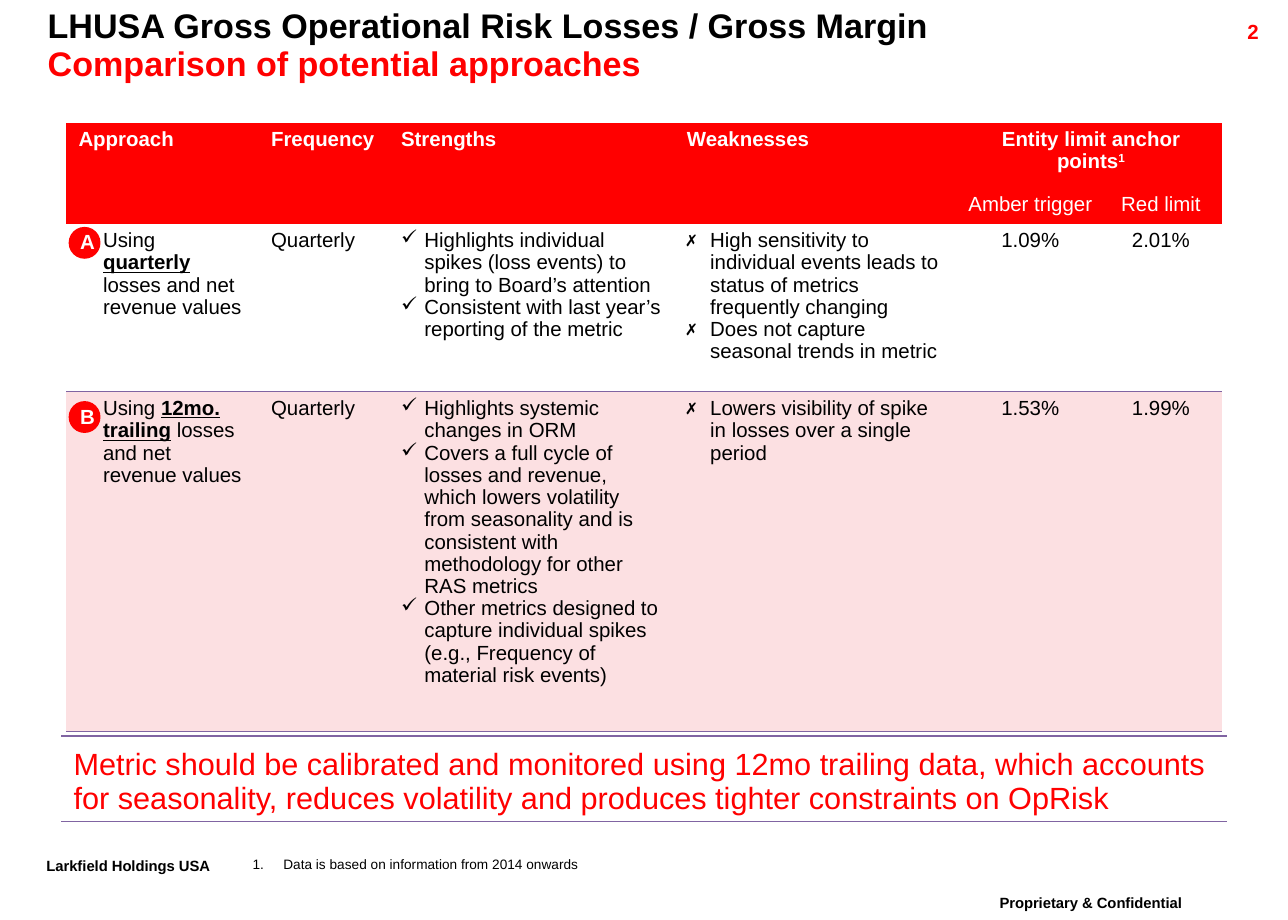
from lxml import etree
from pptx import Presentation
from pptx.dml.color import RGBColor
from pptx.enum.shapes import MSO_SHAPE
from pptx.enum.text import MSO_ANCHOR, PP_ALIGN
from pptx.oxml.ns import qn
from pptx.util import Inches, Pt

RED = RGBColor(0xFF, 0x00, 0x00)
BLACK = RGBColor(0x00, 0x00, 0x00)
WHITE = RGBColor(0xFF, 0xFF, 0xFF)
PINK = RGBColor(0xFC, 0xE0, 0xE2)
RULE = RGBColor(0x80, 0x64, 0xA2)
LEFT, CENTER, RIGHT = PP_ALIGN.LEFT, PP_ALIGN.CENTER, PP_ALIGN.RIGHT
TOP, MIDDLE, BOTTOM = MSO_ANCHOR.TOP, MSO_ANCHOR.MIDDLE, MSO_ANCHOR.BOTTOM
OVAL = MSO_SHAPE.OVAL
FONT = "Arial"
PLAIN_TABLE = "{2D5ABB26-0587-4C30-8999-92F81FD0307C}"
TITLE_SPACING, TABLE_SPACING = 0.92, 0.97
HANG = 0.19

# Table content: *stars* mark emphasis
COLUMNS = [1.57, 1.06, 2.33, 2.33, 1.14, 0.99]
ROWS = [0.53, 0.28, 1.37, 2.77]
HEADINGS = ["Approach", "Frequency", "Strengths", "Weaknesses"]
APPROACHES = [
    ("A", None, "Using *quarterly* losses and net revenue values", "Quarterly",
     ["Highlights individual spikes (loss events) to bring to Board’s attention",
      "Consistent with last year’s reporting of the metric"],
     ["High sensitivity to individual events leads to status of metrics "
      "frequently changing",
      "Does not capture seasonal trends in metric"],
     ["1.09%", "2.01%"]),
    ("B", PINK, "Using *12mo. trailing* losses and net revenue values", "Quarterly",
     ["Highlights systemic changes in ORM",
      "Covers a full cycle of losses and revenue, which lowers volatility from "
      "seasonality and is consistent with methodology for other RAS metrics",
      "Other metrics designed to capture individual spikes (e.g., Frequency of "
      "material risk events)"],
     ["Lowers visibility of spike in losses over a single period"],
     ["1.53%", "1.99%"]),
]


def raise_span(span):
    span.font._element.set("baseline", "30000")


def add_bullet(para, tag, key, value, indent):
    props = para._p.get_or_add_pPr()
    props.set("marL", str(Inches(indent)))
    props.set("indent", str(-Inches(indent)))
    etree.SubElement(props, qn(tag)).set(key, value)


def style(para, size, color, bold=False, align=LEFT, spacing=None):
    para.alignment = align
    if spacing:
        para.line_spacing = spacing
    font = para.font
    font.name, font.size, font.bold = FONT, Pt(size), bold
    font.color.rgb = color


def write(frame, texts, size, color, bold=False, align=LEFT, spacing=TABLE_SPACING,
          mark=None):
    for index, text in enumerate(texts):
        para = frame.paragraphs[0] if index == 0 else frame.add_paragraph()
        if mark:
            add_bullet(para, "a:buChar", "char", mark, HANG)
        for part, words in enumerate(text.split("*")):
            span = para.add_run()
            span.text = words
            if part % 2:
                span.font.bold = span.font.underline = True
        style(para, size, color, bold, align, spacing)


def add_text(page, box, inset=True, wrap=True, anchor=TOP):
    frame = page.shapes.add_textbox(*map(Inches, box)).text_frame
    frame.word_wrap = wrap
    frame.vertical_anchor = anchor
    if not inset:
        frame.margin_left = frame.margin_right = 0
        frame.margin_top = frame.margin_bottom = 0
    return frame


def add_plain_table(page, box, columns, rows):
    table = page.shapes.add_table(len(rows), len(columns), *map(Inches, box)).table
    table.first_row = table.horz_banding = False
    table._tbl.tblPr.find(qn("a:tableStyleId")).text = PLAIN_TABLE
    for column, width in zip(table.columns, columns):
        column.width = Inches(width)
    for row, height in zip(table.rows, rows):
        row.height = Inches(height)
    return table


def finish_cell(cell, fill, edges):
    # Borders come before the fill in the cell properties
    props = cell._tc.get_or_add_tcPr()
    for edge in edges:
        line = etree.SubElement(props, qn("a:" + edge), w=str(Pt(0.75)))
        paint = etree.SubElement(line, qn("a:solidFill"))
        etree.SubElement(paint, qn("a:srgbClr"), val=str(RULE))
    if fill is None:
        cell.fill.background()
    else:
        cell.fill.solid()
        cell.fill.fore_color.rgb = fill


def add_title(page, box):
    frame = add_text(page, box)
    write(frame, ["LHUSA Gross Operational Risk Losses / Gross Margin",
                  "Comparison of potential approaches"],
          20, BLACK, True, spacing=TITLE_SPACING)
    frame.paragraphs[1].font.color.rgb = RED


def add_badge(page, letter, box):
    badge = page.shapes.add_shape(OVAL, *map(Inches, box))
    badge.shadow.inherit = False
    badge.fill.solid()
    badge.fill.fore_color.rgb = RED
    badge.line.fill.background()
    frame = badge.text_frame
    frame.word_wrap = False
    frame.vertical_anchor = MIDDLE
    frame.margin_left = Inches(0.05)
    frame.margin_right = frame.margin_top = frame.margin_bottom = 0
    write(frame, [letter], 12, WHITE, True, CENTER)


def add_comparison(page, box):
    table = add_plain_table(page, box, COLUMNS, ROWS)

    # Two-level heading
    for column, heading in enumerate(HEADINGS):
        table.cell(0, column).merge(table.cell(1, column))
        write(table.cell(0, column).text_frame, [heading], 12, WHITE, True)
    table.cell(0, 4).merge(table.cell(0, 5))
    anchor_points = table.cell(0, 4).text_frame
    write(anchor_points, ["Entity limit anchor points"], 12, WHITE, True, CENTER)
    note_mark = anchor_points.paragraphs[0].add_run()
    note_mark.text = "1"
    raise_span(note_mark)
    for column, heading in enumerate(["Amber trigger", "Red limit"], 4):
        write(table.cell(1, column).text_frame, [heading], 12, WHITE, align=CENTER)
    table.cell(1, 4).margin_left = table.cell(1, 4).margin_right = 0
    for row in range(2):
        for column in range(len(COLUMNS)):
            finish_cell(table.cell(row, column), RED, [])

    # One row for each approach
    for row, (letter, fill, name, frequency, strengths, weaknesses, limits) in enumerate(
            APPROACHES, 2):
        cells = list(table.rows[row].cells)
        cells[0].margin_left = Inches(0.3)
        contents = [([name], None), ([frequency], None),
                    (strengths, "✓"), (weaknesses, "✗")]
        for cell, (texts, mark) in zip(cells, contents):
            write(cell.text_frame, texts, 12, BLACK, mark=mark)
        for cell, limit in zip(cells[4:], limits):
            write(cell.text_frame, [limit], 12, BLACK, align=CENTER)
        for cell in cells:
            finish_cell(cell, fill, ["lnB"])
        row_top = box[1] + sum(ROWS[:row])
        offset = 0.04 if row == 2 else 0.09
        add_badge(page, letter, (box[0] + 0.02, row_top + offset, 0.26, 0.26))


def add_conclusion(page, box):
    cell = add_plain_table(page, box, [box[2]], [box[3]]).cell(0, 0)
    cell.vertical_anchor = BOTTOM
    write(cell.text_frame,
          ["Metric should be calibrated and monitored using 12mo trailing data, which "
           "accounts for seasonality, reduces volatility and produces tighter "
           "constraints on OpRisk"], 18, RED)
    finish_cell(cell, None, ["lnT", "lnB"])


def add_footer_label(page, text, box):
    frame = add_text(page, box, wrap=False)
    write(frame, [text], 15, BLACK, True, spacing=None)
    raise_span(frame.paragraphs[0].runs[0])


def add_footnote(page, box):
    frame = add_text(page, box, inset=False, anchor=BOTTOM)
    add_bullet(frame.paragraphs[0], "a:buAutoNum", "type", "arabicPeriod", 0.25)
    write(frame, ["Data is based on information from 2014 onwards"], 8, BLACK,
          spacing=None)


def main():
    deck = Presentation()
    deck.slide_width, deck.slide_height = Inches(10.5), Inches(7.5)
    page = deck.slides.add_slide(deck.slide_layouts[6])
    add_footer_label(page, "Proprietary & Confidential", (8.05, 7.21, 2.29, 0.35))
    add_footer_label(page, "Larkfield Holdings USA", (0.28, 6.91, 1.91, 0.35))
    write(add_text(page, (9.36, 0.11, 1, 0.24)), ["2"], 12, RED, True, RIGHT, None)
    add_title(page, (0.29, 0.02, 10.21, 0.68))
    add_comparison(page, (0.54, 1, sum(COLUMNS), sum(ROWS)))
    add_footnote(page, (2.06, 6.98, 5.98, 0.13))
    add_conclusion(page, (0.5, 6, 9.5, 0.7))
    deck.save("out.pptx")


if __name__ == "__main__":
    main()
